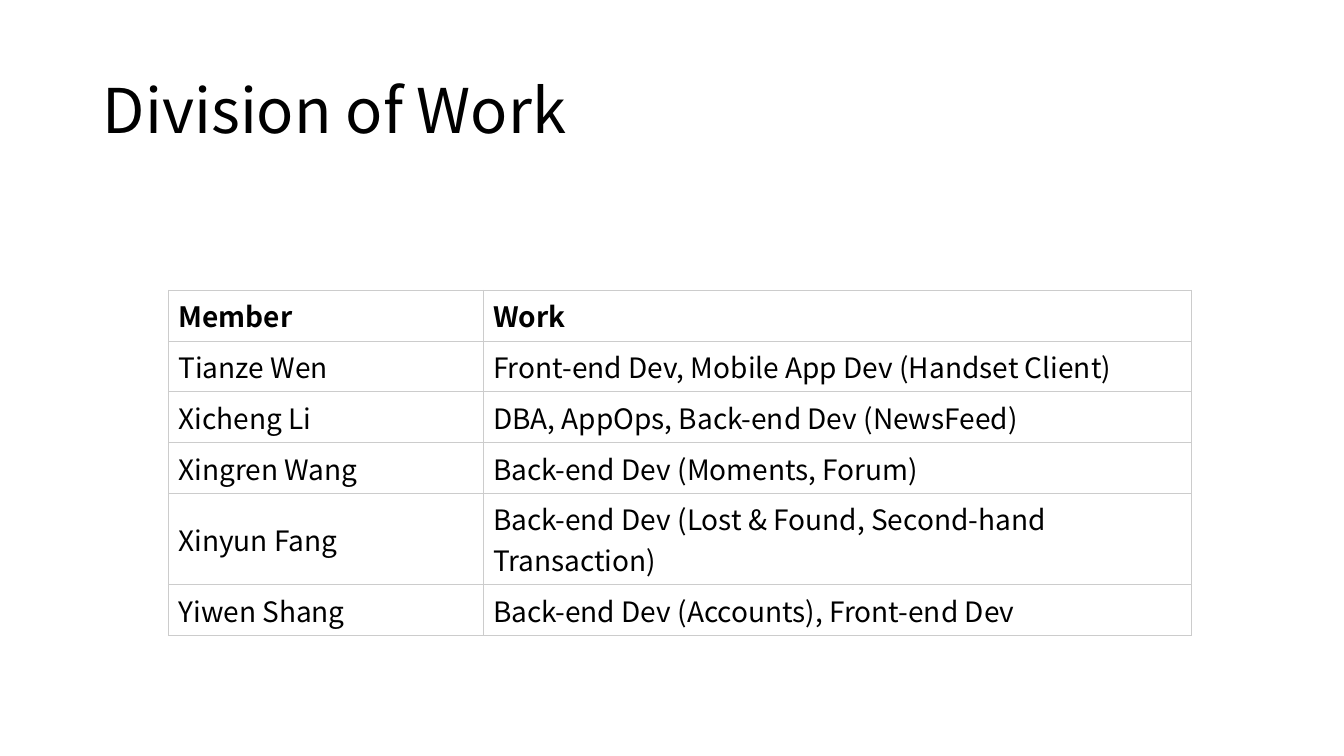
from lxml import etree
from pptx import Presentation
from pptx.dml.color import RGBColor
from pptx.enum.text import MSO_ANCHOR, PP_ALIGN
from pptx.oxml.ns import qn
from pptx.util import Inches, Pt

MIDDLE = MSO_ANCHOR.MIDDLE
LEFT = PP_ALIGN.LEFT
COLORS = {"text": "000000", "paper": "FFFFFF", "border": "CCCCCC"}

MEMBERS = [
    ("Member", "Work"),
    ("Tianze Wen", "Front-end Dev, Mobile App Dev (Handset Client)"),
    ("Xicheng Li", "DBA, AppOps, Back-end Dev (NewsFeed)"),
    ("Xingren Wang", "Back-end Dev (Moments, Forum)"),
    ("Xinyun Fang", "Back-end Dev (Lost & Found, Second-hand Transaction)"),
    ("Yiwen Shang", "Back-end Dev (Accounts), Front-end Dev"),
]


class SlideBuilder:
    font = "Noto Sans CJK SC"

    def __init__(self, slide):
        self.s = slide

    def add_text(self, tf, text, size=20, bold=False, color="text", spacing=1.0):
        tf.word_wrap = True
        p = tf.paragraphs[0]
        p.alignment = LEFT
        p.line_spacing = spacing
        r = p.add_run()
        r.text = text
        r.font.name = self.font
        r.font.size = Pt(size)
        r.font.bold = bold
        r.font.color.rgb = RGBColor.from_string(COLORS[color])

    def title(self, text, left, top, width, height):
        sp = self.s.shapes.title
        sp.left, sp.top = Inches(left), Inches(top)
        sp.width, sp.height = Inches(width), Inches(height)
        sp.text_frame.vertical_anchor = MIDDLE
        self.add_text(sp.text_frame, text, size=44, spacing=0.9)

    def border(self, cell, width=0.5):
        """Draw all four edges; they must precede the fill in the cell XML."""
        tcPr = cell._tc.get_or_add_tcPr()
        for i, edge in enumerate(("a:lnL", "a:lnR", "a:lnT", "a:lnB")):
            ln = etree.Element(qn(edge), w=str(Pt(width)))
            fill = etree.SubElement(ln, qn("a:solidFill"))
            etree.SubElement(fill, qn("a:srgbClr"), val=COLORS["border"])
            tcPr.insert(i, ln)

    def table(self, rows, left, top, col_widths, row_heights):
        table = self.s.shapes.add_table(
            len(rows), len(col_widths), Inches(left), Inches(top),
            Inches(sum(col_widths)), Inches(sum(row_heights))).table
        table.horz_banding = False
        for col, width in zip(table.columns, col_widths):
            col.width = Inches(width)
        for i, (row, height) in enumerate(zip(rows, row_heights)):
            table.rows[i].height = Inches(height)
            for j, text in enumerate(row):
                cell = table.cell(i, j)
                cell.vertical_anchor = MIDDLE
                cell.fill.solid()
                cell.fill.fore_color.rgb = RGBColor.from_string(COLORS["paper"])
                self.border(cell)
                self.add_text(cell.text_frame, text, bold=i == 0)


def main():
    prs = Presentation()
    prs.slide_width, prs.slide_height = Inches(13.33), Inches(7.5)
    s = SlideBuilder(prs.slides.add_slide(prs.slide_layouts[5]))
    s.title("Division of Work", 0.92, 0.4, 11.5, 1.45)
    s.table(MEMBERS, 1.67, 2.88, [3.12, 7.03], [0.5] * 4 + [0.9, 0.5])
    prs.save("out.pptx")


if __name__ == "__main__":
    main()
